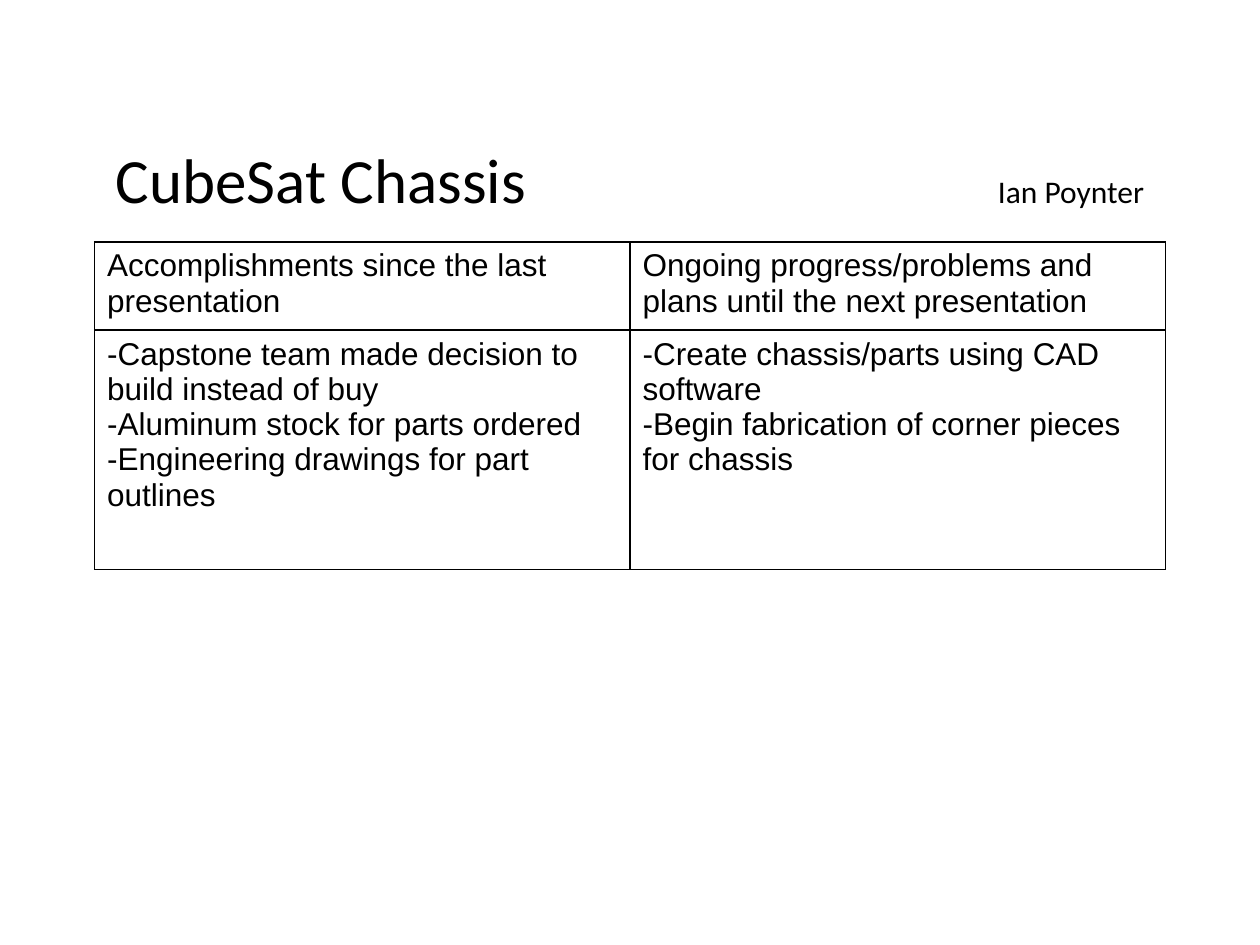
from pptx import Presentation
from pptx.dml.color import RGBColor
from pptx.enum.text import MSO_ANCHOR as Anchor, MSO_AUTO_SIZE as AutoSize, PP_ALIGN as Align
from pptx.oxml.ns import qn
from pptx.util import Inches, Pt
from lxml.etree import SubElement

COLORS = {"text": "000000", "border": "000000"}
COLUMN_WIDTH = 4.25
ROW_HEIGHTS = (0.7, 1.9)
REPORT = (
    (
        ["Accomplishments since the last presentation"],
        ["Ongoing progress/problems and plans until the next presentation"],
    ),
    (
        [
            "-Capstone team made decision to build instead of buy",
            "-Aluminum stock for parts ordered",
            "-Engineering drawings for part outlines",
        ],
        [
            "-Create chassis/parts using CAD software",
            "-Begin fabrication of corner pieces for chassis",
        ],
    ),
)


def add_span(para, text, size, font):
    span = para.add_run()
    span.text = text
    span.font.size = Pt(size)
    span.font.name = font
    span.font.color.rgb = RGBColor.from_string(COLORS["text"])


def add_right_tab(para, position):
    tabs = SubElement(para._p.get_or_add_pPr(), qn("a:tabLst"))
    SubElement(tabs, qn("a:tab"), pos=str(Inches(position)), algn="r")


def fill_title(page, topic, presenter):
    """Put the topic at the left and the presenter at a right tab."""
    box = page.shapes.title
    box.left, box.top = Inches(0.42), Inches(1.06)
    box.width, box.height = Inches(9.17), Inches(0.71)
    frame = box.text_frame
    frame.word_wrap = True
    frame.auto_size = AutoSize.NONE
    frame.vertical_anchor = Anchor.MIDDLE
    frame.margin_left = Inches(0.5)
    para = frame.paragraphs[0]
    para.alignment = Align.LEFT
    add_right_tab(para, 8.16)
    add_span(para, topic, 36, "Calibri")
    add_span(para, "\t" + presenter, 18, "Calibri")


def add_borders(cell):
    properties = cell._tc.get_or_add_tcPr()
    for side in ("a:lnL", "a:lnR", "a:lnT", "a:lnB"):
        line = SubElement(properties, qn(side), w=str(Pt(1)))
        fill = SubElement(line, qn("a:solidFill"))
        SubElement(fill, qn("a:srgbClr"), val=COLORS["border"])


def fill_cell(cell, lines):
    add_borders(cell)
    cell.fill.background()
    frame = cell.text_frame
    for index, line in enumerate(lines):
        para = frame.add_paragraph() if index else frame.paragraphs[0]
        add_span(para, line, 18, "Arial")


def add_report_table(page):
    columns = len(REPORT[0])
    table = page.shapes.add_table(
        len(REPORT), columns, Inches(0.75), Inches(1.92),
        Inches(COLUMN_WIDTH * columns), Inches(sum(ROW_HEIGHTS)),
    ).table
    table.first_row = table.horz_banding = False
    for row, height, contents in zip(table.rows, ROW_HEIGHTS, REPORT):
        row.height = Inches(height)
        for cell, lines in zip(row.cells, contents):
            fill_cell(cell, lines)


def main():
    deck = Presentation()
    deck.slide_width, deck.slide_height = Inches(10), Inches(7.5)
    page = deck.slides.add_slide(deck.slide_layouts[5])
    fill_title(page, "CubeSat Chassis", "Ian Poynter")
    add_report_table(page)
    deck.save("out.pptx")


if __name__ == "__main__":
    main()
